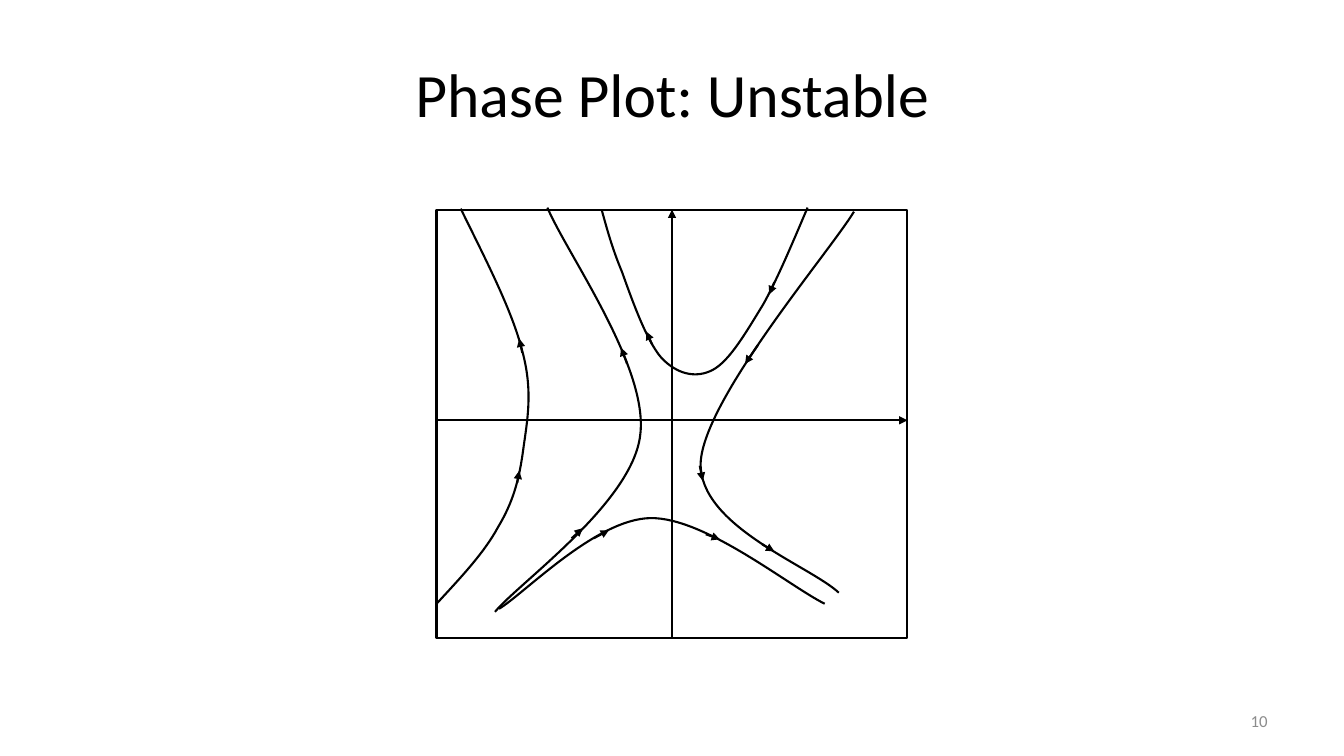
from lxml import etree
from pptx import Presentation
from pptx.dml.color import RGBColor
from pptx.enum.shapes import MSO_CONNECTOR, MSO_SHAPE
from pptx.enum.text import MSO_ANCHOR, PP_ALIGN
from pptx.oxml.ns import qn
from pptx.util import Inches, Pt

RECT = MSO_SHAPE.RECTANGLE
STRAIGHT = MSO_CONNECTOR.STRAIGHT
MIDDLE = MSO_ANCHOR.MIDDLE
CENTER, RIGHT = PP_ALIGN.CENTER, PP_ALIGN.RIGHT
INK, GRAY = "000000", "8C8C8C"

LEFT, TOP, WIDTH, HEIGHT = 4.33, 2.08, 4.67, 4.25
END, BASE = LEFT + WIDTH, TOP + HEIGHT
MID_X, MID_Y = LEFT + WIDTH / 2, 4.17

# Each path: a start point, then three Bezier points per segment
PATHS = [
    [(4.91, 6.07), (5.15, 5.78), (6.27, 4.99), (6.35, 4.32),
     (6.44, 3.65), (5.63, 2.53), (5.43, 2.06)],
    [(4.95, 6.04), (5.2, 5.89), (5.91, 5.15), (6.45, 5.14),
     (6.99, 5.13), (7.82, 5.81), (8.18, 5.99)],
    [(5.97, 2.09), (6.02, 2.27), (6.07, 2.46), (6.17, 2.7),
     (6.26, 2.95), (6.41, 3.38), (6.56, 3.55),
     (6.71, 3.71), (6.9, 3.76), (7.07, 3.67),
     (7.24, 3.58), (7.41, 3.28), (7.57, 3.02),
     (7.72, 2.75), (7.86, 2.41), (8.01, 2.06)],
    [(8.47, 2.1), (8.22, 2.51), (6.98, 3.96), (6.95, 4.59),
     (6.93, 5.22), (8.03, 5.61), (8.32, 5.88)],
    [(4.33, 5.99), (4.56, 5.74), (4.8, 5.49), (4.94, 5.23),
     (5.09, 4.98), (5.15, 4.76), (5.19, 4.46),
     (5.23, 4.17), (5.29, 3.88), (5.18, 3.48),
     (5.08, 3.08), (4.82, 2.58), (4.57, 2.07)],
]

AXES = [(LEFT, MID_Y, END, MID_Y), (MID_X, BASE, MID_X, TOP)]
FLOWS = [
    (5.13, 4.79, 5.15, 4.67), (5.18, 3.5, 5.15, 3.36),
    (6.22, 3.61, 6.16, 3.45), (5.67, 5.34, 5.78, 5.24),
    (5.89, 5.34, 6.04, 5.26), (7, 5.3, 7.14, 5.35),
    (6.47, 3.42, 6.41, 3.29), (7.68, 2.8, 7.63, 2.92),
    (7.52, 3.42, 7.39, 3.61), (6.94, 4.62, 6.97, 4.77),
    (7.56, 5.4, 7.68, 5.47),
]


def color(code):
    return RGBColor.from_string(code)


def add_text(slide, text, box, *, size, ink=INK, align=CENTER):
    frame = slide.shapes.add_textbox(*map(Inches, box)).text_frame
    frame.word_wrap = True
    frame.vertical_anchor = MIDDLE
    para = frame.paragraphs[0]
    para.text = text
    para.alignment = align
    para.font.name = "Calibri"
    para.font.size = Pt(size)
    para.font.color.rgb = color(ink)


def set_line(shape):
    shape.line.color.rgb = color(INK)
    shape.line.width = Pt(1.5)


def set_plain(shape):
    """Leave only the outline of a shape."""
    shape.shadow.inherit = False
    shape.fill.background()
    set_line(shape)


def add_arrow(slide, ends):
    arrow = slide.shapes.add_connector(STRAIGHT, *map(Inches, ends))
    set_line(arrow)
    etree.SubElement(arrow.line._get_or_add_ln(), qn("a:tailEnd"), type="triangle")
    etree.SubElement(arrow._element.spPr, qn("a:effectLst"))


def add_curve(slide, points):
    """Draw the control points, then turn each three lines into one Bezier."""
    start, *rest = [tuple(map(Inches, point)) for point in points]
    pen = slide.shapes.build_freeform(*start)
    pen.add_line_segments(rest, close=False)
    shape = pen.convert_to_shape()
    set_plain(shape)
    track = next(shape._element.iter(qn("a:path")))
    lines = track.findall(qn("a:lnTo"))
    for i in range(0, len(lines), 3):
        bend = etree.SubElement(track, qn("a:cubicBezTo"))
        for line in lines[i:i + 3]:
            bend.append(line[0])
            track.remove(line)


def main():
    deck = Presentation()
    deck.slide_width, deck.slide_height = Inches(13.33), Inches(7.5)
    slide = deck.slides.add_slide(deck.slide_layouts[6])
    add_text(slide, "10", (9.56, 6.95, 3.11, 0.4), size=12, ink=GRAY, align=RIGHT)
    add_text(slide, "Phase Plot: Unstable", (0.67, 0.3, 12, 1.25), size=44)
    frame = map(Inches, (LEFT, TOP, WIDTH, HEIGHT))
    set_plain(slide.shapes.add_shape(RECT, *frame))
    for axis in AXES:
        add_arrow(slide, axis)
    for points in PATHS:
        add_curve(slide, points)
    for flow in FLOWS:
        add_arrow(slide, flow)
    deck.save("out.pptx")


if __name__ == "__main__":
    main()
